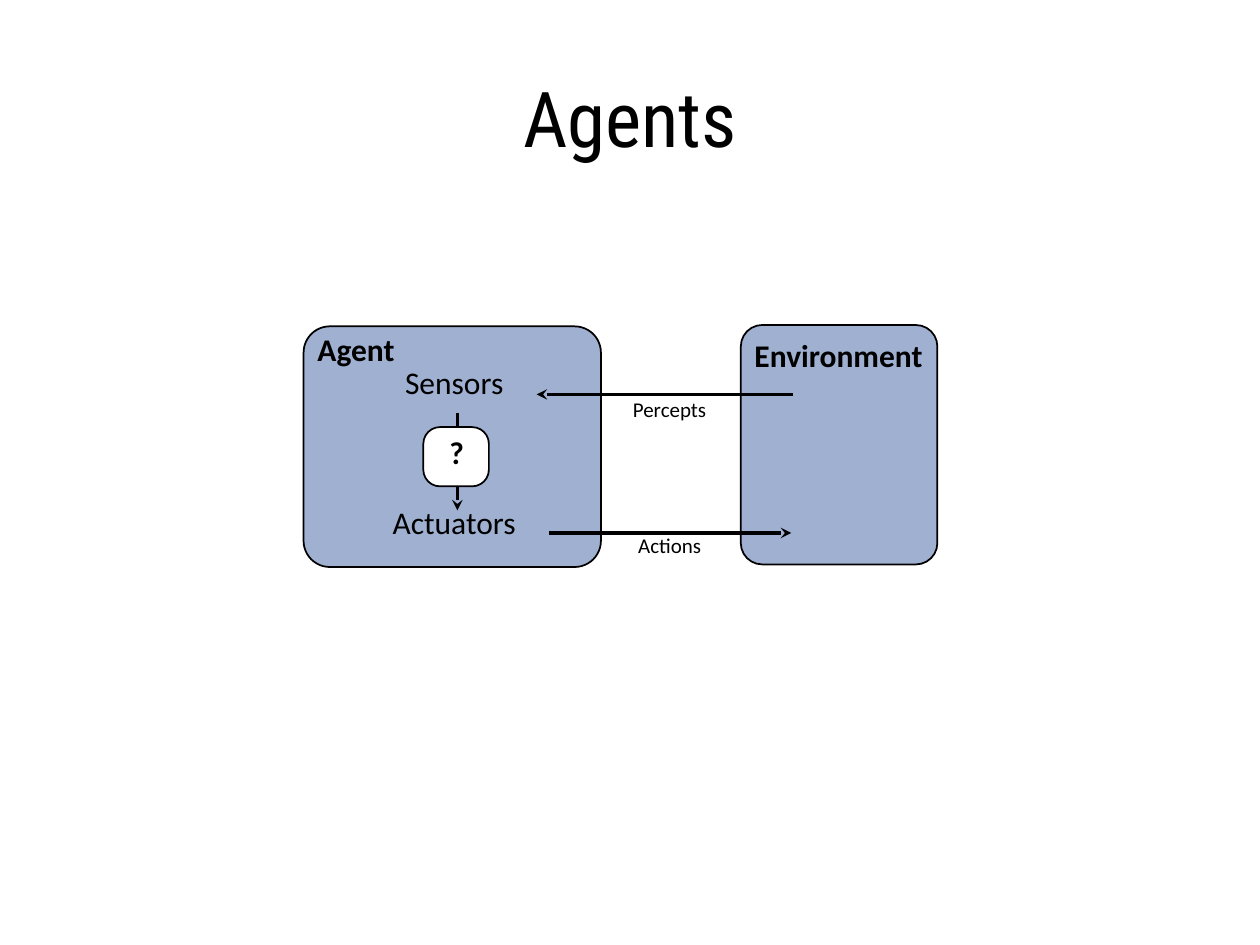
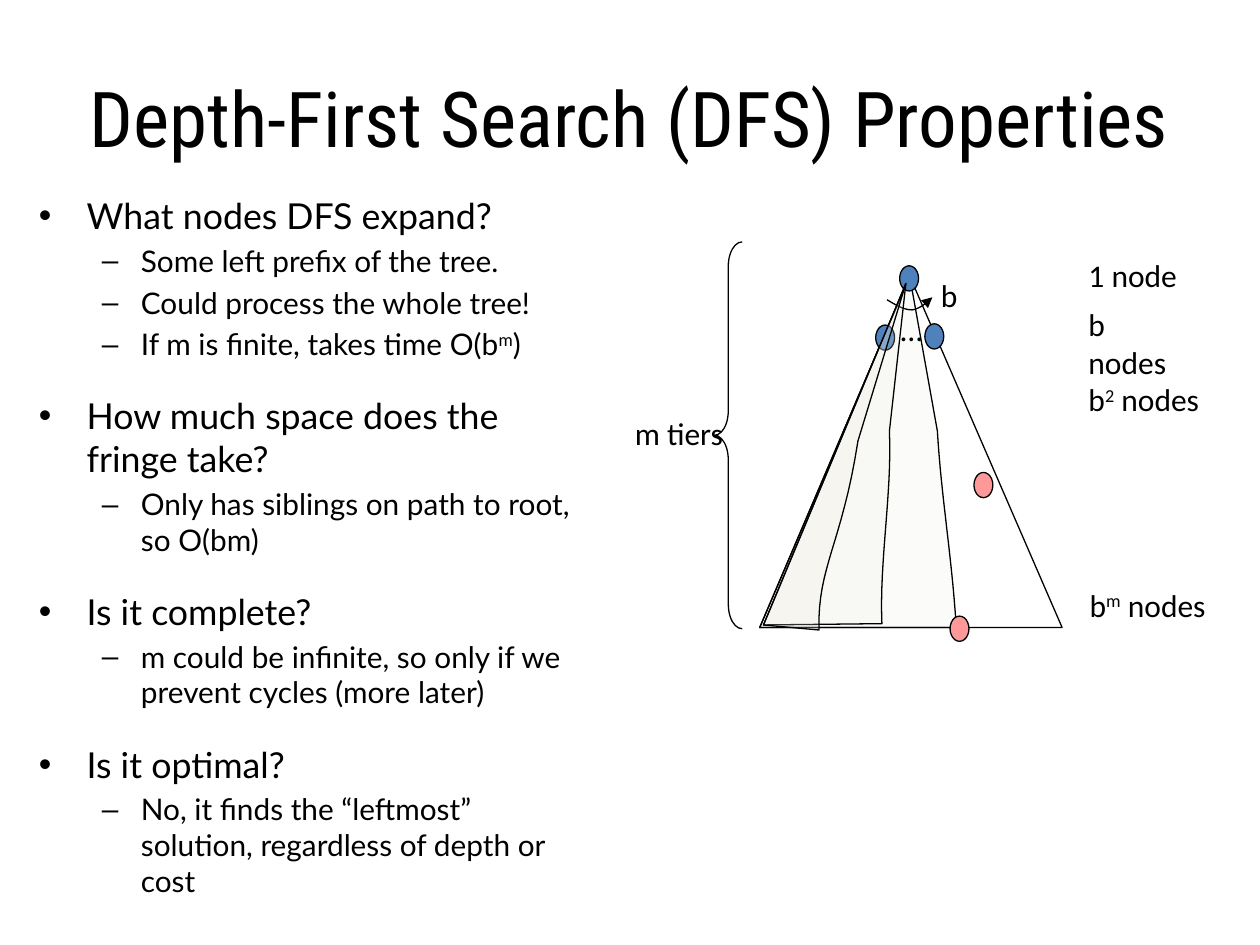
from dataclasses import dataclass
from typing import Any, NamedTuple

from lxml.etree import SubElement
from pptx import Presentation
from pptx.dml.color import RGBColor
from pptx.enum.shapes import MSO_CONNECTOR, MSO_SHAPE
from pptx.enum.text import MSO_ANCHOR, PP_ALIGN
from pptx.oxml.ns import qn
from pptx.util import Inches, Pt

COLS, ROWS = 100, 75
WIDTH, HEIGHT = Inches(10), Inches(7.5)
BLACK, WHITE = "000000", "FFFFFF"
STEEL, BLUE, PINK, SAND = "9FB0D1", "4F81BD", "FF9999", "EEECE1"
HEAD, BODY, LIST = "Roboto Condensed", "Calibri", "Lato"
THIN, MID, THICK = 0.75, 1, 2
LEFT, MIDDLE = PP_ALIGN.LEFT, PP_ALIGN.CENTER
SNUG = (0.03, 0, 0.03, 0)
ROOMY = (0.1, 0.05, 0.1, 0.05)


class Box(NamedTuple):
    """Left, top, width and height in grid columns and rows."""
    x: float
    y: float
    w: float
    h: float


@dataclass
class Label:
    text: str
    box: Box
    size: float = 18
    bold: bool = False
    align: Any = MIDDLE
    inset: tuple = SNUG
    font: str = BODY
    anchor: Any = MSO_ANCHOR.TOP


@dataclass
class Block:
    kind: Any
    box: Box
    fill: str | None
    line: float
    bend: tuple = ()


@dataclass
class Arrow:
    start: tuple
    end: tuple


@dataclass
class Path:
    """Steps hold one point for a line, or three for a Bezier curve."""
    start: tuple
    steps: list
    fill: str | None = None
    alpha: int = 100
    close: bool = True


class Level(NamedTuple):
    mark: str
    size: float
    left: float
    hang: float
    gap: float


POINT = Level("•", 20.4, 0.38, 0.38, 18.5)
SUB = Level("–", 17, 0.81, 0.31, 3.4)

AGENT = [
    Block(MSO_SHAPE.ROUNDED_RECTANGLE, Box(24.1, 25.9, 23.6, 19.1), STEEL, MID, (0.109,)),
    Arrow((36.3, 32.8), (36.3, 40.5)),
    Label("Agent", Box(24.9, 26.2, 8.6, 5.1), bold=True, align=LEFT),
    Block(MSO_SHAPE.ROUNDED_RECTANGLE, Box(33.6, 33.9, 5.2, 4.7), WHITE, MID, (0.281,)),
    Label("?", Box(35.3, 34.4, 1.9, 4.1), bold=True),
    Label("Sensors", Box(30.7, 28.8, 10.7, 5.3)),
    Label("Actuators", Box(30, 39.9, 12.1, 4.3)),
    Block(MSO_SHAPE.ROUNDED_RECTANGLE, Box(58.8, 25.8, 15.6, 19), STEEL, MID, (0.109,)),
    Label("Environment", Box(57.7, 26.7, 17.7, 5.1), bold=True),
    Arrow((62.9, 31.3), (42.6, 31.3)),
    Arrow((43.6, 42.3), (62.8, 42.3)),
    Label("Percepts", Box(48, 31.5, 10.3, 3.9), 12),
    Label("Actions", Box(48.7, 42.3, 8.9, 4.4), 12),
]


def node(x: float, y: float, fill: str) -> Block:
    return Block(MSO_SHAPE.OVAL, Box(x, y, 1.5, 2), fill, THIN)


def note(text: str, x: float, y: float, w: float, h: float = 4) -> Label:
    return Label(text, Box(x, y, w, h), align=LEFT, inset=ROOMY)


def swept(start: tuple, foot: tuple, curve: tuple, top: tuple) -> Path:
    """Part of the tree already searched."""
    return Path(start, [(foot,), curve, (top,)], SAND, 20)


WIDE = swept((60.3, 49.8), (75.9, 49.8),
             ((75.6, 44.6), (74.7, 39.3), (74.4, 34.2)), (72.2, 21.9))
TREE = [
    Path((60.3, 49.8), [((84.3, 49.8),), ((72.2, 21.9),)]),
    node(71.4, 21.1, BLUE),
    node(69.5, 25.8, BLUE),
    node(73.4, 25.7, BLUE),
    note("…", 70.5, 24.1, 2.3),
    Path((70.4, 23.8), [((71.1, 24.2), (71.7, 24.6), (72.4, 24.6)),
                        ((73, 24.5), (73.5, 24.1), (74, 23.6))], close=False),
    note("b", 73.7, 21.4, 2.4),
    note("1 node", 85.4, 19.8, 9.2),
    note("b nodes", 85.4, 23.7, 9.2, 7.1),
    note("b^2^ nodes", 85.4, 29.7, 12.1),
    note("b^m^ nodes", 85.5, 46, 12),
    node(75.4, 48.9, PINK),
    Block(MSO_SHAPE.LEFT_BRACE, Box(56.7, 19.2, 2.2, 30.7), None, THIN, (0.884, 0.5)),
    note("m tiers", 49.4, 32.4, 10.4),
    swept((60.6, 49.6), (70, 49.5),
          ((69.8, 44.4), (70.8, 39.3), (70.6, 34.2)), (71.9, 22.5)),
    swept((60.6, 49.6), (65, 50),
          ((64.9, 44.9), (66.8, 43.3), (68.1, 35)), (71.9, 22.5)),
    node(77.3, 37.5, PINK),
]
FACTS = [
    (POINT, "What nodes DFS expand?"),
    (SUB, "Some left prefix of the tree."),
    (SUB, "Could process the whole tree!"),
    (SUB, "If m is finite, takes time O(b^m^)"),
    (POINT, "How much space does the fringe take?"),
    (SUB, "Only has siblings on path to root, so O(bm)"),
    (POINT, "Is it complete?"),
    (SUB, "m could be infinite, so only if we prevent cycles (more later)"),
    (POINT, "Is it optimal?"),
    (SUB, "No, it finds the “leftmost” solution, regardless of depth or cost"),
]


def spot(x: float, y: float) -> tuple[int, int]:
    return round(x * WIDTH / COLS), round(y * HEIGHT / ROWS)


def rgb(code: str) -> RGBColor:
    return RGBColor.from_string(code)


def put(item: Any, form: dict) -> None:
    for key, val in form.items():
        setattr(item, key, val)


def ink(line: Any, width: float) -> None:
    line.color.rgb = rgb(BLACK)
    line.width = Pt(width)


def paint(shape: Any, fill: str | None, width: float) -> None:
    shape.shadow.inherit = False
    ink(shape.line, width)
    if fill:
        shape.fill.solid()
        shape.fill.fore_color.rgb = rgb(fill)
    else:
        shape.fill.background()


def tip(shape: Any, kind: str) -> None:
    """Add an arrowhead at the end of a line."""
    SubElement(shape._element.spPr.find(qn("a:ln")), qn("a:tailEnd"), type=kind)


def write(para: Any, text: str, font: str, size: float, bold: bool = False) -> None:
    """Write runs; parts between carets are raised."""
    for i, part in enumerate(text.split("^")):
        run = para.add_run()
        run.text = part
        put(run.font, {"name": font, "size": Pt(size), "bold": bold})
        run.font.color.rgb = rgb(BLACK)
        if i % 2:
            run._r.get_or_add_rPr().set("baseline", "30000")


def frame(slide: Any, box: Box, inset: tuple, anchor: Any) -> Any:
    text = slide.shapes.add_textbox(*spot(box.x, box.y), *spot(box.w, box.h)).text_frame
    sides = ("margin_left", "margin_top", "margin_right", "margin_bottom")
    put(text, {"word_wrap": True, "vertical_anchor": anchor,
               **dict(zip(sides, map(Inches, inset)))})
    return text


def label(slide: Any, item: Label) -> None:
    para = frame(slide, item.box, item.inset, item.anchor).paragraphs[0]
    para.alignment = item.align
    write(para, item.text, item.font, item.size, item.bold)


def block(slide: Any, item: Block) -> None:
    box = item.box
    shape = slide.shapes.add_shape(item.kind, *spot(box.x, box.y), *spot(box.w, box.h))
    for i, bend in enumerate(item.bend):
        shape.adjustments[i] = bend
    paint(shape, item.fill, item.line)


def arrow(slide: Any, item: Arrow) -> None:
    line = slide.shapes.add_connector(
        MSO_CONNECTOR.STRAIGHT, *spot(*item.start), *spot(*item.end))
    ink(line.line, THICK)
    tip(line, "stealth")
    SubElement(line._element.spPr, qn("a:effectLst"))


def curve(ends: list, parts: int = 16) -> list:
    """Points along a cubic Bezier, after its first."""
    dots = []
    for i in range(1, parts + 1):
        t = i / parts
        share = ((1 - t) ** 3, 3 * t * (1 - t) ** 2, 3 * t * t * (1 - t), t ** 3)
        dots.append(tuple(sum(s * p[k] for s, p in zip(share, ends)) for k in (0, 1)))
    return dots


def path(slide: Any, item: Path) -> None:
    dots = [item.start]
    for step in item.steps:
        dots += curve([dots[-1], *step]) if len(step) == 3 else step
    pen = slide.shapes.build_freeform(*spot(*item.start))
    pen.add_line_segments([spot(*dot) for dot in dots[1:]], close=item.close)
    shape = pen.convert_to_shape()
    paint(shape, item.fill, THIN)
    if item.alpha < 100:
        tone = shape._element.spPr.find(qn("a:solidFill"))[0]
        SubElement(tone, qn("a:alpha"), val=str(item.alpha * 1000))
    if not item.close:
        tip(shape, "triangle")


def facts(slide: Any, rows: list, box: Box) -> None:
    text = frame(slide, box, ROOMY, MSO_ANCHOR.TOP)
    for i, (level, words) in enumerate(rows):
        para = text.add_paragraph() if i else text.paragraphs[0]
        if i:
            para.space_before = Pt(level.gap)
        props = para._p.get_or_add_pPr()
        props.set("marL", str(Inches(level.left)))
        props.set("indent", str(-Inches(level.hang)))
        SubElement(props, qn("a:buFont"), typeface="Arial")
        SubElement(props, qn("a:buChar"), char=level.mark)
        write(para, words, LIST, level.size)


def title(slide: Any, text: str) -> None:
    label(slide, Label(text, Box(5, 3, 90, 12.5), 44, inset=ROOMY,
                       font=HEAD, anchor=MSO_ANCHOR.MIDDLE))


DRAW = {Label: label, Block: block, Arrow: arrow, Path: path}


def draw(slide: Any, items: list) -> None:
    for item in items:
        DRAW[type(item)](slide, item)


def main() -> None:
    deck = Presentation()
    put(deck, {"slide_width": WIDTH, "slide_height": HEIGHT})
    blank = deck.slide_layouts[6]

    slide = deck.slides.add_slide(blank)
    title(slide, "Agents")
    draw(slide, AGENT)

    slide = deck.slides.add_slide(blank)
    path(slide, WIDE)
    title(slide, "Depth-First Search (DFS) Properties")
    draw(slide, TREE)
    facts(slide, FACTS, Box(2.1, 14.9, 44.8, 51.7))

    deck.save("out.pptx")


if __name__ == "__main__":
    main()
